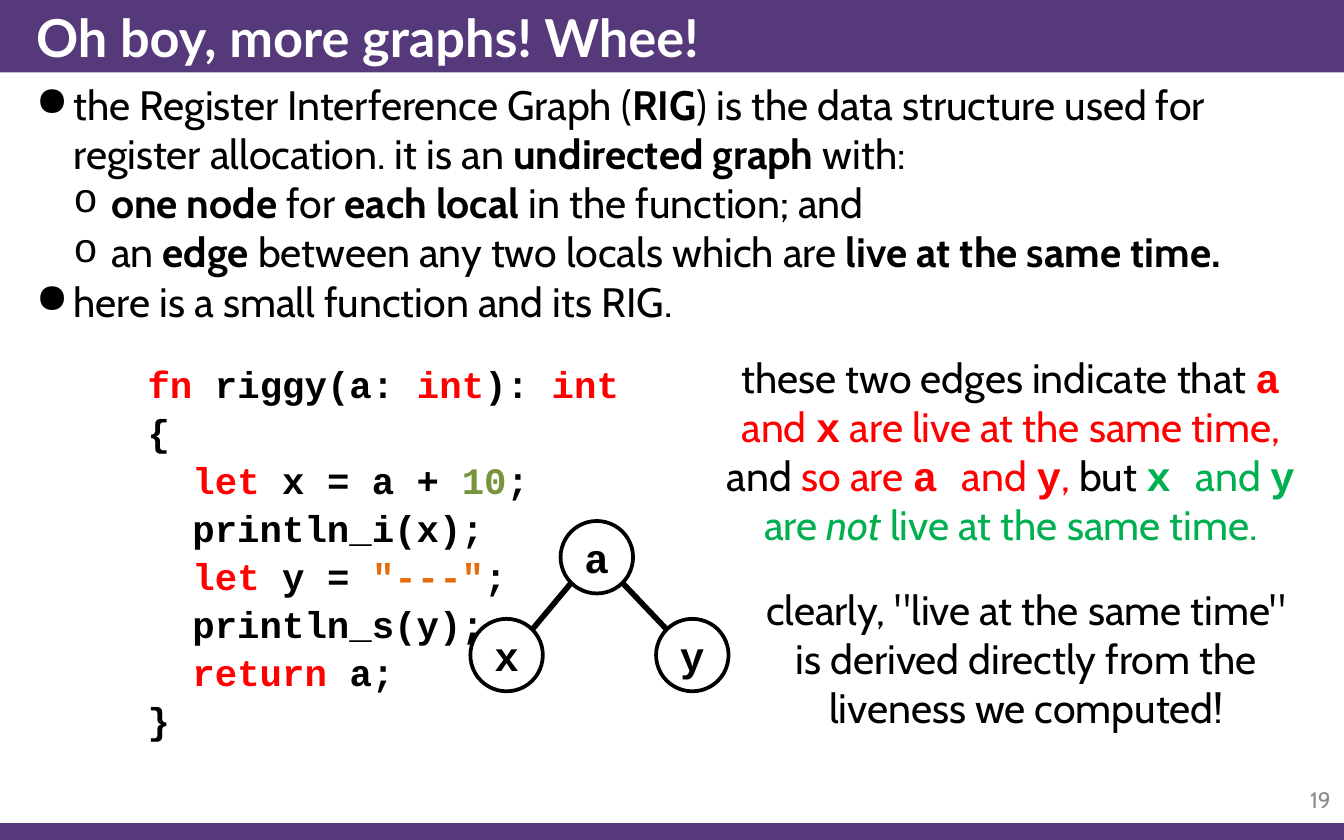
import math

import pptx
import pptx.dml.color
import pptx.enum.shapes
import pptx.enum.text
import pptx.util
from lxml import etree
from pptx.oxml.ns import qn
from pptx.util import Cm, Pt

ALIGN = pptx.enum.text.PP_ALIGN
ANCHOR = pptx.enum.text.MSO_ANCHOR
SHAPE = pptx.enum.shapes.MSO_SHAPE
PROSE, CODE, HEADING = "Cabin", "Courier New", "Lato"
PURPLE, BLACK, WHITE, GREY = "56397B", "000000", "FFFFFF", "8C8C8C"
RED, GREEN, OLIVE, ORANGE = "FF0000", "00B050", "77933C", "E46C0A"
WIDTH, HEIGHT, BAR_HEIGHT = 25.4, 15.88, 1.37

STYLES = {
    "bold": {"bold": True},
    "red": {"color": RED},
    "red code": {"color": RED, "name": CODE, "bold": True},
    "green": {"color": GREEN},
    "green italic": {"color": GREEN, "italic": True},
    "green code": {"color": GREEN, "name": CODE, "bold": True},
    "number": {"color": OLIVE},
    "string": {"color": ORANGE},
}

DEFINITION = [
    (0, ["the Register Interference Graph (", ("RIG", "bold"),
         ") is the data structure used for register allocation. it is an",
         (" undirected graph ", "bold"), "with:"]),
    (1, [("one node", "bold"), " for ", ("each local", "bold"), " in the function; and"]),
    (1, ["an ", ("edge ", "bold"), "between any two locals which are ",
         ("live at the same time.", "bold")]),
    (0, ["here is a small function and its RIG."]),
]

RIGGY = [
    [("fn ", "red"), "riggy(a: ", ("int", "red"), "): ", ("int", "red"), " {"],
    ["  ", ("let", "red"), " x = a + ", ("10", "number"), ";"],
    ["  println_i(x);"],
    ["  ", ("let ", "red"), "y = ", ('"---"', "string"), ";"],
    ["  println_s(y);"],
    ["  ", ("return", "red"), " a;"],
    ["}"],
]

EDGES_NOTE = [
    "these two edges indicate that ", ("a ", "red code"), ("and ", "red"), ("x", "red code"),
    (" are live at the same time,", "red"), " and ", ("so are ", "red"), ("a ", "red code"),
    ("and ", "red"), ("y", "red code"), (",", "red"), " but ", ("x ", "green code"),
    ("and ", "green"), ("y", "green code"), (" are ", "green"), ("not", "green italic"),
    (" live at the same time.", "green"),
]

LIVENESS_NOTE = ['clearly, "live at the same time" is derived directly '
                 'from the liveness we computed!']


def rgb(color):
    return pptx.dml.color.RGBColor.from_string(color)


def style_font(font, name=None, size=None, color=None, bold=None, italic=None):
    if name:
        font.name = name
    if size:
        font.size = Pt(size)
    if color:
        font.color.rgb = rgb(color)
    if bold is not None:
        font.bold = bold
    if italic is not None:
        font.italic = italic


def fill_paragraph(paragraph, pieces, **font):
    """Add plain strings and (text, style) pairs as runs over a paragraph font."""
    style_font(paragraph.font, **font)
    for piece in pieces:
        text, style = (piece, None) if isinstance(piece, str) else piece
        run = paragraph.add_run()
        run.text = text
        if style:
            style_font(run.font, **STYLES[style])


def add_frame(slide, box):
    frame = slide.shapes.add_textbox(*map(Cm, box)).text_frame
    frame.word_wrap = True
    return frame


def paragraphs(frame, items):
    """Pair each item with its paragraph, reusing the frame's first one."""
    for index, item in enumerate(items):
        yield (frame.add_paragraph() if index else frame.paragraphs[0]), item


def add_bar(slide, box):
    bar = slide.shapes.add_shape(SHAPE.RECTANGLE, *map(Cm, box))
    bar.shadow.inherit = False
    bar.fill.solid()
    bar.fill.fore_color.rgb = rgb(PURPLE)
    bar.line.fill.background()
    slide.shapes._spTree.insert(2, bar._element)


def set_title(slide, box, text):
    title = slide.shapes.title
    title.left, title.top, title.width, title.height = map(Cm, box)
    frame = title.text_frame
    frame.auto_size = pptx.enum.text.MSO_AUTO_SIZE.NONE
    frame.vertical_anchor = ANCHOR.MIDDLE
    heading = frame.paragraphs[0]
    heading.alignment = ALIGN.LEFT
    fill_paragraph(heading, [text], name=HEADING, size=28, color=WHITE, bold=True)


def add_bullet(paragraph, level):
    indent = Cm(0.71)
    paragraph.level = level
    properties = paragraph._p.get_or_add_pPr()
    properties.set("marL", str(indent * (level + 1)))
    properties.set("indent", str(-indent))
    if level:
        etree.SubElement(properties, qn("a:buFont")).set("typeface", CODE)
    etree.SubElement(properties, qn("a:buChar")).set("char", "●o"[level])


def add_definition(slide, box):
    for paragraph, (level, pieces) in paragraphs(add_frame(slide, box), DEFINITION):
        add_bullet(paragraph, level)
        fill_paragraph(paragraph, pieces, name=PROSE, size=22, color=BLACK)


def add_code(slide, box):
    for paragraph, pieces in paragraphs(add_frame(slide, box), RIGGY):
        paragraph.line_spacing = 1.07
        fill_paragraph(paragraph, pieces, name=CODE, size=20, color=BLACK, bold=True)


def add_note(slide, box, pieces):
    paragraph = add_frame(slide, box).paragraphs[0]
    paragraph.alignment = ALIGN.CENTER
    fill_paragraph(paragraph, pieces, name=PROSE, size=22, color=BLACK)


def add_node(slide, center, diameter, name):
    x, y = center
    node = slide.shapes.add_shape(SHAPE.OVAL, Cm(x - diameter / 2), Cm(y - diameter / 2),
                                  Cm(diameter), Cm(diameter))
    node.shadow.inherit = False
    node.fill.background()
    node.line.color.rgb = rgb(BLACK)
    node.line.width = Pt(2)
    frame = node.text_frame
    frame.margin_left = frame.margin_right = frame.margin_top = frame.margin_bottom = 0
    frame.vertical_anchor = ANCHOR.MIDDLE
    frame.paragraphs[0].alignment = ALIGN.CENTER
    fill_paragraph(frame.paragraphs[0], [name], name=CODE, size=22, color=BLACK, bold=True)


def add_edge(slide, start, end):
    edge = slide.shapes.add_connector(pptx.enum.shapes.MSO_CONNECTOR.STRAIGHT,
                                      *map(Cm, (*start, *end)))
    edge.line.color.rgb = rgb(BLACK)
    edge.line.width = Pt(3)
    etree.SubElement(edge._element.spPr, qn("a:effectLst"))


def add_interference_graph(slide, box):
    """Node a at the top, joined to x and y in the bottom corners."""
    left, top, width, height = box
    diameter = 1.37
    radius = diameter / 2
    reach = radius * math.sqrt(0.5)
    a = (left + 2.39, top + radius)
    bottom = top + height - radius
    add_node(slide, a, diameter, "a")
    for name, x, side in (("x", left + radius, -1), ("y", left + width - radius, 1)):
        add_node(slide, (x, bottom), diameter, name)
        add_edge(slide, (x - side * reach, bottom - reach),
                 (a[0] + side * reach, a[1] + reach))


def add_slide_number(slide, box, number):
    frame = add_frame(slide, box)
    frame.vertical_anchor = ANCHOR.MIDDLE
    frame.paragraphs[0].alignment = ALIGN.RIGHT
    fill_paragraph(frame.paragraphs[0], [number], name=PROSE, size=12, color=GREY)


def main():
    deck = pptx.Presentation()
    deck.slide_width, deck.slide_height = Cm(WIDTH), Cm(HEIGHT)
    slide = deck.slides.add_slide(deck.slide_layouts.get_by_name("Title Only"))
    add_bar(slide, (0, 0, WIDTH, BAR_HEIGHT))
    add_bar(slide, (0, HEIGHT - 0.32, WIDTH, 0.32))
    set_title(slide, (0.43, 0, WIDTH - 0.43, BAR_HEIGHT), "Oh boy, more graphs! Whee!")
    add_definition(slide, (0.43, BAR_HEIGHT, WIDTH - 0.43, 5.08))
    add_slide_number(slide, (23.5, 14.7, 1.9, 0.85), "19")
    add_code(slide, (2.54, 6.65, 9.96, 6.25))
    add_interference_graph(slide, (8.89, 9.85, 4.88, 3.22))
    add_note(slide, (13.34, 6.53, 11.53, 4.01), EDGES_NOTE)
    add_note(slide, (14.15, 10.92, 10.49, 3.07), LIVENESS_NOTE)
    deck.save("out.pptx")


if __name__ == "__main__":
    main()
